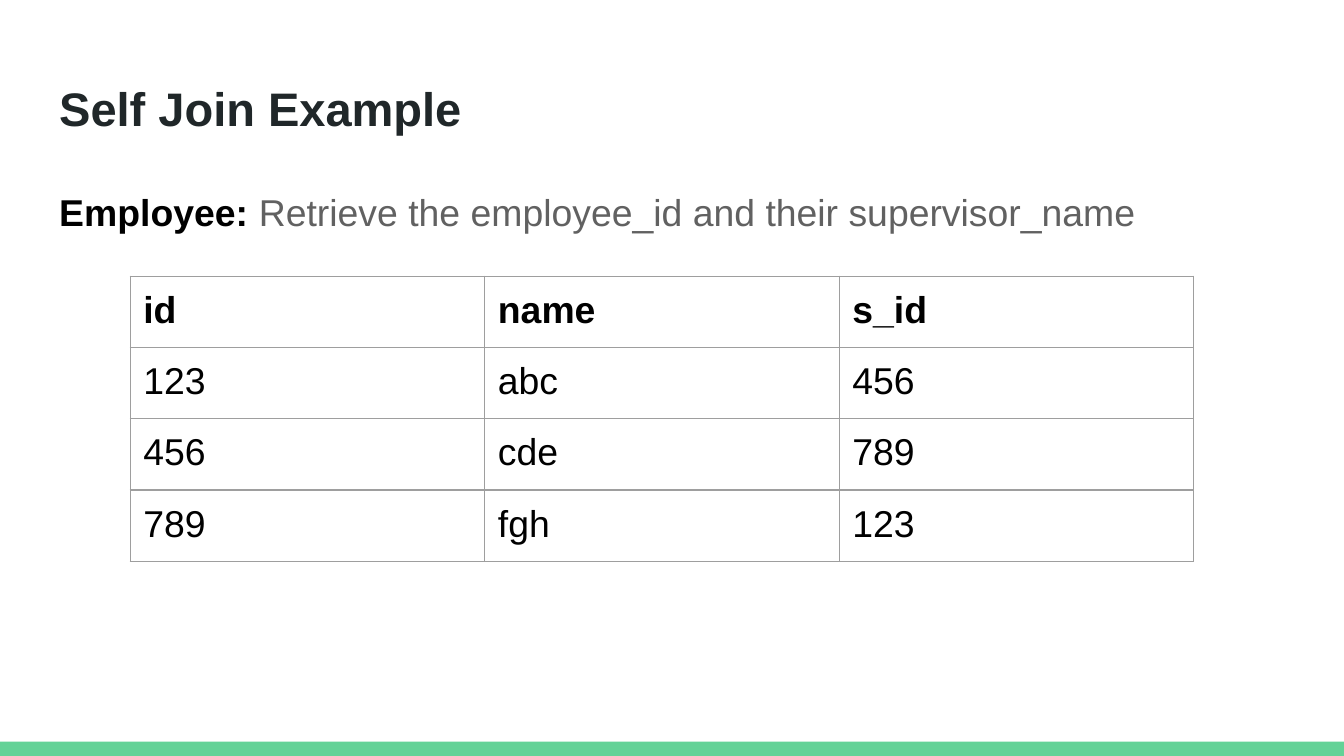
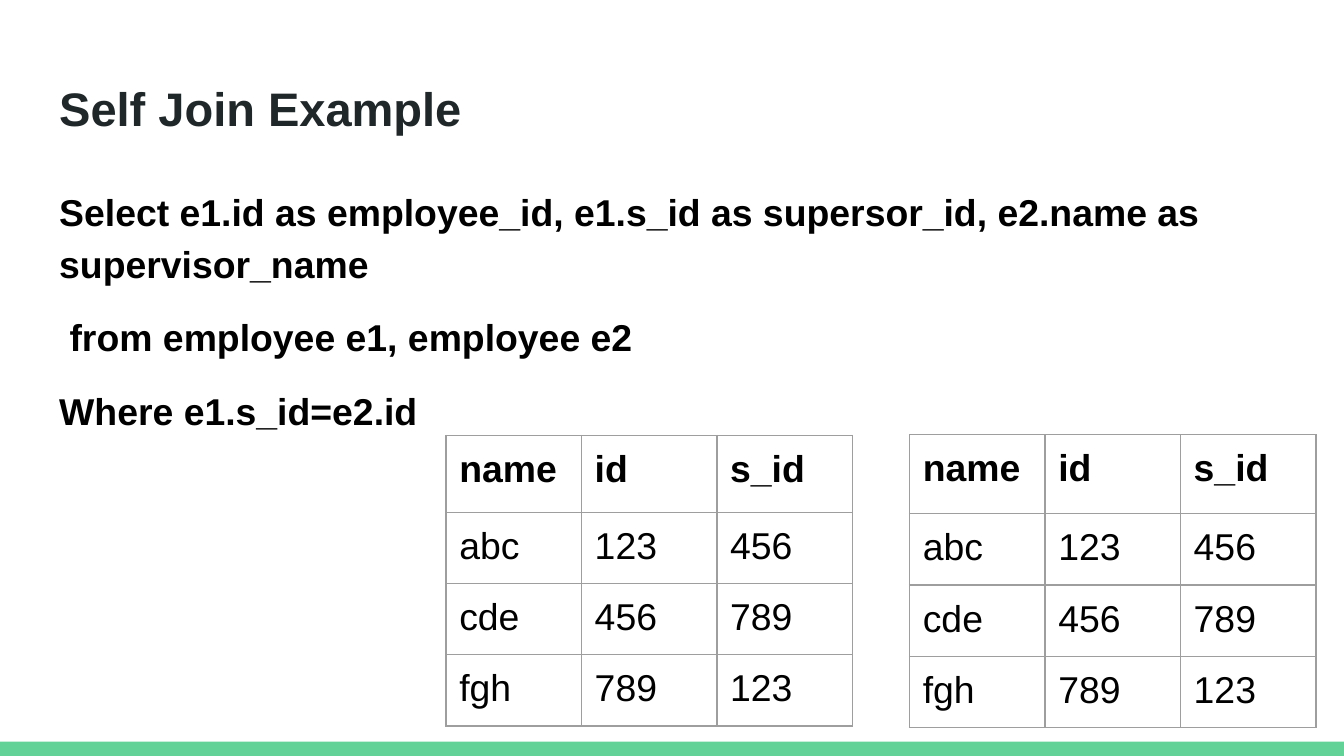
from dataclasses import dataclass

from lxml.etree import SubElement
from pptx import Presentation
from pptx.dml.color import RGBColor
from pptx.enum.shapes import MSO_SHAPE
from pptx.enum.text import MSO_ANCHOR
from pptx.oxml.ns import qn
from pptx.slide import Slide
from pptx.table import _Cell
from pptx.text.text import Font, TextFrame
from pptx.util import Cm, Pt

FACE = "Arial"
GREEN, INK, BLACK, GREY, RULE = "63D297", "202729", "000000", "616161", "9E9E9E"
WIDTH, HEIGHT, BAND = 25.4, 14.29, 0.27
LEFT, SPAN = 0.87, 23.67
INSET = 0.25
ROW = 1.29
STAFF = [
    {"id": "123", "name": "abc", "s_id": "456"},
    {"id": "456", "name": "cde", "s_id": "789"},
    {"id": "789", "name": "fgh", "s_id": "123"},
]


@dataclass
class Part:
    text: str
    color: str = BLACK
    bold: bool = True


@dataclass
class Grid:
    left: float
    top: float
    col: float
    head: float
    keys: tuple[str, ...]


@dataclass
class Page:
    title: str
    body: list[list[Part]]
    grids: list[Grid]


PAGES = [
    Page(
        "Self Join Example",
        [[Part("Employee: "),
          Part("Retrieve the employee_id and their supervisor_name", GREY, False)]],
        [Grid(2.46, 5.22, 6.7, ROW, ("id", "name", "s_id"))],
    ),
    Page(
        "Self Join Example",
        [[Part("Select e1.id as employee_id, e1.s_id as supersor_id, "
               "e2.name as supervisor_name")],
         [Part(" from employee e1, employee e2")],
         [Part("Where e1.s_id=e2.id")]],
        [Grid(8.43, 8.23, 2.56, 1.45, ("name", "id", "s_id")),
         Grid(17.19, 8.22, 2.56, 1.49, ("name", "id", "s_id"))],
    ),
]


def rgb(code: str) -> RGBColor:
    return RGBColor.from_string(code)


def style(font: Font, size: float, color: str, bold: bool) -> None:
    font.name, font.size, font.bold = FACE, Pt(size), bold
    font.color.rgb = rgb(color)


def add_box(slide: Slide, top: float, height: float) -> TextFrame:
    box = slide.shapes.add_textbox(Cm(LEFT), Cm(top), Cm(SPAN), Cm(height))
    frame = box.text_frame
    frame.word_wrap = True
    frame.margin_left = frame.margin_right = Cm(INSET)
    frame.margin_top = frame.margin_bottom = Cm(INSET)
    return frame


def add_band(slide: Slide) -> None:
    band = slide.shapes.add_shape(
        MSO_SHAPE.RECTANGLE, 0, Cm(HEIGHT - BAND), Cm(WIDTH), Cm(BAND))
    band.shadow.inherit = False
    band.fill.solid()
    band.fill.fore_color.rgb = rgb(GREEN)
    band.line.fill.background()


def add_title(slide: Slide, text: str) -> None:
    frame = add_box(slide, 1.24, 1.6)
    frame.vertical_anchor = MSO_ANCHOR.MIDDLE
    frame.text = text
    style(frame.paragraphs[0].runs[0].font, 25.2, INK, True)


def add_body(slide: Slide, lines: list[list[Part]]) -> None:
    frame = add_box(slide, 3.2, 9.5)
    for index, parts in enumerate(lines):
        para = frame.add_paragraph() if index else frame.paragraphs[0]
        para.line_spacing = 1.15
        if index:
            para.space_before = Pt(12)
        for part in parts:
            run = para.add_run()
            run.text = part.text
            style(run.font, 20, part.color, part.bold)


def add_edges(cell: _Cell) -> None:
    """Draw the four borders; they must precede the cell's fill in the XML."""
    props = cell._tc.get_or_add_tcPr()
    for index, side in enumerate(("lnL", "lnR", "lnT", "lnB")):
        edge = SubElement(props, qn(f"a:{side}"), w=str(Pt(0.75)))
        fill = SubElement(edge, qn("a:solidFill"))
        SubElement(fill, qn("a:srgbClr"), val=RULE)
        props.insert(index, edge)


def fill_cell(cell: _Cell, text: str, bold: bool) -> None:
    cell.text_frame.text = text
    style(cell.text_frame.paragraphs[0].runs[0].font, 20, BLACK, bold)
    cell.margin_left = cell.margin_right = Cm(INSET)
    cell.margin_top = cell.margin_bottom = Cm(INSET)
    cell.fill.background()
    add_edges(cell)


def add_grid(slide: Slide, grid: Grid) -> None:
    rows = [grid.keys] + [[man[key] for key in grid.keys] for man in STAFF]
    count = len(grid.keys)
    table = slide.shapes.add_table(
        len(rows), count, Cm(grid.left), Cm(grid.top),
        Cm(grid.col * count), Cm(grid.head + ROW * len(STAFF))).table
    table.first_row = table.horz_banding = False
    for col in table.columns:
        col.width = Cm(grid.col)
    for r, row in enumerate(rows):
        table.rows[r].height = Cm(ROW if r else grid.head)
        for c, text in enumerate(row):
            fill_cell(table.cell(r, c), text, r == 0)


def main() -> None:
    deck = Presentation()
    deck.slide_width, deck.slide_height = Cm(WIDTH), Cm(HEIGHT)
    for page in PAGES:
        slide = deck.slides.add_slide(deck.slide_layouts[6])
        add_band(slide)
        add_title(slide, page.title)
        add_body(slide, page.body)
        for grid in page.grids:
            add_grid(slide, grid)
    deck.save("out.pptx")


if __name__ == "__main__":
    main()
